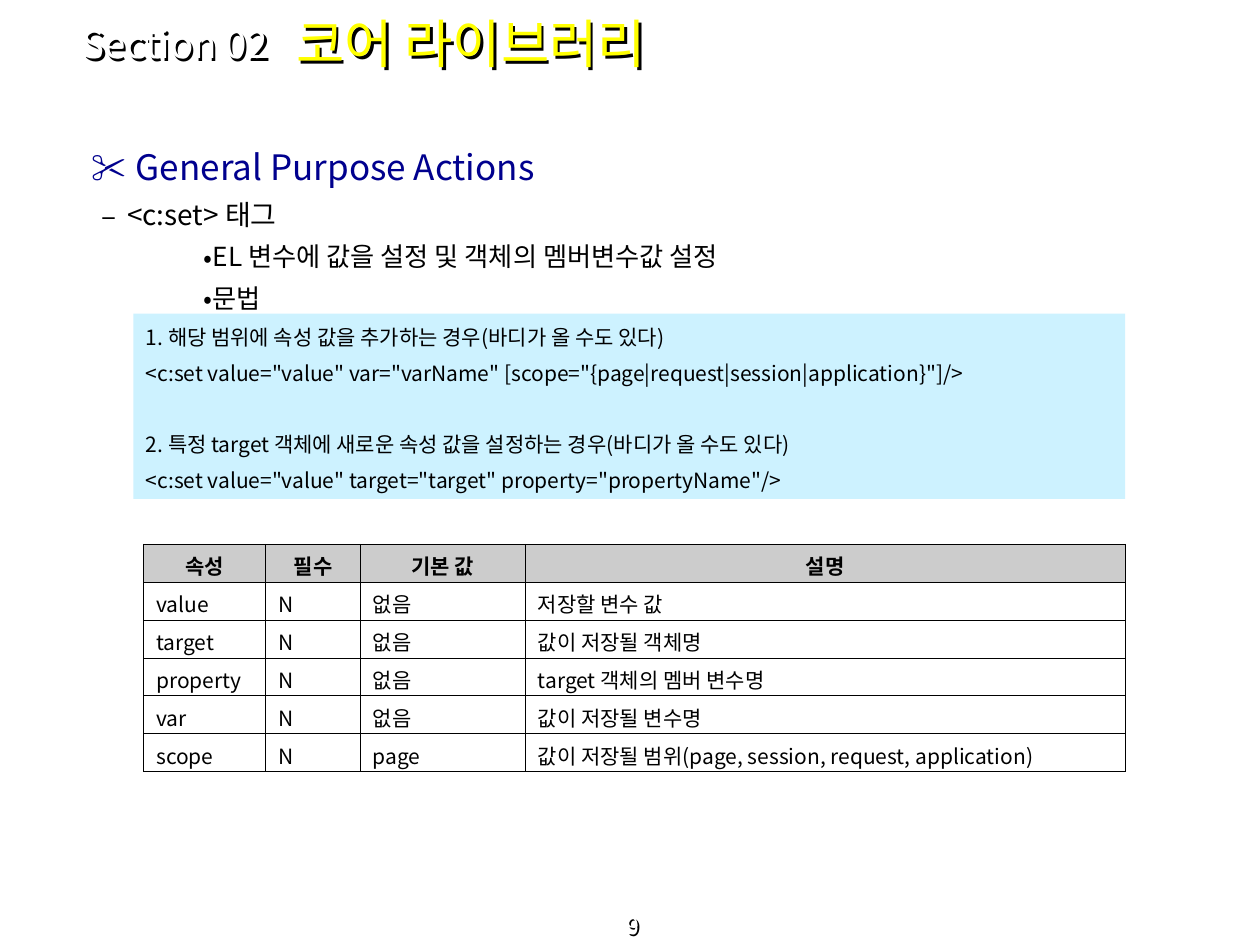
"""Build the slide on the core library's set tag."""
from dataclasses import dataclass

from lxml.etree import SubElement
from pptx import Presentation
from pptx.dml.color import RGBColor
from pptx.enum.shapes import MSO_SHAPE
from pptx.enum.text import MSO_ANCHOR, PP_ALIGN
from pptx.oxml.ns import qn
from pptx.util import Inches, Pt


@dataclass(frozen=True)
class Theme:
    font: str = "Noto Sans CJK KR"
    white: str = "FFFFFF"
    black: str = "000000"
    yellow: str = "FFFF00"
    navy: str = "00008E"
    panel: str = "CDF2FF"
    header: str = "CCCCCC"
    title_size: int = 30
    section_size: int = 22
    heading_size: int = 20
    tag_size: int = 16
    point_size: int = 15
    small_size: int = 12
    number_size: int = 13
    border_width: float = 0.45


THEME = Theme()

OUTLINE = [
    ("General Purpose Actions", "✂", THEME.heading_size, THEME.navy, 0.46, -0.35, 0),
    ("<c:set> 태그", "–", THEME.tag_size, THEME.black, 0.39, -0.2, 4),
    ("EL 변수에 값을 설정 및 객체의 멤버변수값 설정", "•", THEME.point_size, THEME.black, 0.59, 0.41, 3.7),
    ("문법", "•", THEME.point_size, THEME.black, 0.59, 0.41, 3.7),
]

SYNTAX = [
    ("1. 해당 범위에 속성 값을 추가하는 경우(바디가 올 수도 있다)", 0),
    ('<c:set value="value" var="varName" [scope="{page|request|session|application}"]/>', 3),
    ("2. 특정 target 객체에 새로운 속성 값을 설정하는 경우(바디가 올 수도 있다)", 23.4),
    ('<c:set value="value" target="target" property="propertyName"/>', 3),
]

COLUMN_WIDTHS = [0.97, 0.75, 1.31, 4.76]
ROW_HEIGHT = 0.3
ATTRIBUTES = [
    ("속성", "필수", "기본 값", "설명"),
    ("value", "N", "없음", "저장할 변수 값"),
    ("target", "N", "없음", "값이 저장될 객체명"),
    ("property", "N", "없음", "target 객체의 멤버 변수명"),
    ("var", "N", "없음", "값이 저장될 변수명"),
    ("scope", "N", "page", "값이 저장될 범위(page, session, request, application)"),
]


def add_run(paragraph, text, size, color, bold=False):
    """Append a styled run to a paragraph."""
    run = paragraph.add_run()
    run.text = text
    run.font.size = Pt(size)
    run.font.bold = bold
    run.font.color.rgb = RGBColor.from_string(color)
    run.font.name = THEME.font
    SubElement(run.font._element, qn("a:ea"), typeface=THEME.font)


def add_text_box(slide, left, top, width, height, anchor=MSO_ANCHOR.TOP):
    """Add a wrapping text box."""
    shape = slide.shapes.add_textbox(Inches(left), Inches(top), Inches(width), Inches(height))
    shape.text_frame.word_wrap = True
    shape.text_frame.vertical_anchor = anchor
    return shape


def add_shadow(shape):
    """Give an unfilled text box a small black shadow behind its letters."""
    effects = SubElement(shape._element.spPr, qn("a:effectLst"))
    shadow = SubElement(effects, qn("a:outerShdw"), dist="25400", dir="2700000",
                        algn="tl", rotWithShape="0")
    SubElement(shadow, qn("a:srgbClr"), val=THEME.black)


def add_shadowed_label(slide, text, bounds, size, color, anchor, alignment=PP_ALIGN.LEFT):
    """Add a one-line label with shadowed letters."""
    shape = add_text_box(slide, *bounds, anchor)
    add_shadow(shape)
    paragraph = shape.text_frame.paragraphs[0]
    paragraph.alignment = alignment
    add_run(paragraph, text, size, color)


def next_paragraph(frame, index):
    """Return the first paragraph of a frame, or a new one after it."""
    return frame.add_paragraph() if index else frame.paragraphs[0]


def format_paragraph(paragraph, margin, indent, line_spacing, space_before):
    """Set the indents and spacing of a paragraph."""
    properties = paragraph._p.get_or_add_pPr()
    properties.set("marL", str(Inches(margin)))
    properties.set("indent", str(Inches(indent)))
    paragraph.alignment = PP_ALIGN.LEFT
    paragraph.line_spacing = line_spacing
    paragraph.space_before = Pt(space_before)


def add_bullet(paragraph, character, color):
    """Put a coloured bullet in front of a paragraph."""
    properties = paragraph._p.get_or_add_pPr()
    bullet_color = SubElement(properties, qn("a:buClr"))
    SubElement(bullet_color, qn("a:srgbClr"), val=color)
    SubElement(properties, qn("a:buFont"), typeface=THEME.font)
    SubElement(properties, qn("a:buChar"), char=character)


def add_outline(slide):
    """Add the bulleted outline."""
    frame = add_text_box(slide, 0.52, 1.07, 9, 4.95).text_frame
    for index, (text, bullet, size, color, margin, indent, space) in enumerate(OUTLINE):
        paragraph = next_paragraph(frame, index)
        paragraph.level = min(index, 2)
        format_paragraph(paragraph, margin, indent, 1.1, space)
        add_bullet(paragraph, bullet, color)
        add_run(paragraph, text, size, color)


def add_syntax_panel(slide):
    """Add the coloured panel with the tag syntax."""
    shape = slide.shapes.add_shape(
        MSO_SHAPE.RECTANGLE, Inches(1.06), Inches(2.49), Inches(7.87), Inches(1.47)
    )
    shape.shadow.inherit = False
    shape.fill.solid()
    shape.fill.fore_color.rgb = RGBColor.from_string(THEME.panel)
    shape.line.fill.background()
    frame = shape.text_frame
    frame.word_wrap = True
    frame.vertical_anchor = MSO_ANCHOR.TOP
    for index, (text, space) in enumerate(SYNTAX):
        paragraph = next_paragraph(frame, index)
        format_paragraph(paragraph, 0.1, -0.1, 1.2, space)
        add_run(paragraph, text, THEME.small_size, THEME.black)


def set_borders(cell):
    """Draw a thin black line on each side of a cell."""
    properties = cell._tc.get_or_add_tcPr()
    for position, side in enumerate(("a:lnL", "a:lnR", "a:lnT", "a:lnB")):
        line = properties.makeelement(qn(side), {"w": str(Pt(THEME.border_width))})
        properties.insert(position, line)
        fill = SubElement(line, qn("a:solidFill"))
        SubElement(fill, qn("a:srgbClr"), val=THEME.black)


def fill_cell(cell, text, is_header):
    """Write and style one table cell."""
    cell.vertical_anchor = MSO_ANCHOR.MIDDLE
    if is_header:
        cell.fill.solid()
        cell.fill.fore_color.rgb = RGBColor.from_string(THEME.header)
    else:
        cell.fill.background()
    set_borders(cell)
    paragraph = cell.text_frame.paragraphs[0]
    paragraph.alignment = PP_ALIGN.CENTER if is_header else PP_ALIGN.JUSTIFY
    add_run(paragraph, text, THEME.small_size, THEME.black, is_header)


def add_attribute_table(slide):
    """Add the table of tag attributes."""
    table = slide.shapes.add_table(
        len(ATTRIBUTES), len(COLUMN_WIDTHS), Inches(1.14), Inches(4.32),
        Inches(sum(COLUMN_WIDTHS)), Inches(ROW_HEIGHT * len(ATTRIBUTES)),
    ).table
    for column, width in zip(table.columns, COLUMN_WIDTHS):
        column.width = Inches(width)
    for row_index, values in enumerate(ATTRIBUTES):
        table.rows[row_index].height = Inches(ROW_HEIGHT)
        for column_index, text in enumerate(values):
            fill_cell(table.cell(row_index, column_index), text, row_index == 0)


def main():
    """Build and save the presentation."""
    presentation = Presentation()
    presentation.slide_width, presentation.slide_height = Inches(10), Inches(7.5)
    slide = presentation.slides.add_slide(presentation.slide_layouts[6])
    add_shadowed_label(slide, " 9", (0, 7.28, 10, 0.22), THEME.number_size, THEME.white,
                       MSO_ANCHOR.BOTTOM, PP_ALIGN.CENTER)
    add_outline(slide)
    add_syntax_panel(slide)
    add_attribute_table(slide)
    add_shadowed_label(slide, " 코어 라이브러리", (2.16, 0, 6.49, 0.68), THEME.title_size,
                       THEME.yellow, MSO_ANCHOR.MIDDLE)
    add_shadowed_label(slide, "Section 02", (0.55, 0.16, 1.93, 0.37), THEME.section_size,
                       THEME.white, MSO_ANCHOR.MIDDLE)
    presentation.save("out.pptx")


if __name__ == "__main__":
    main()
